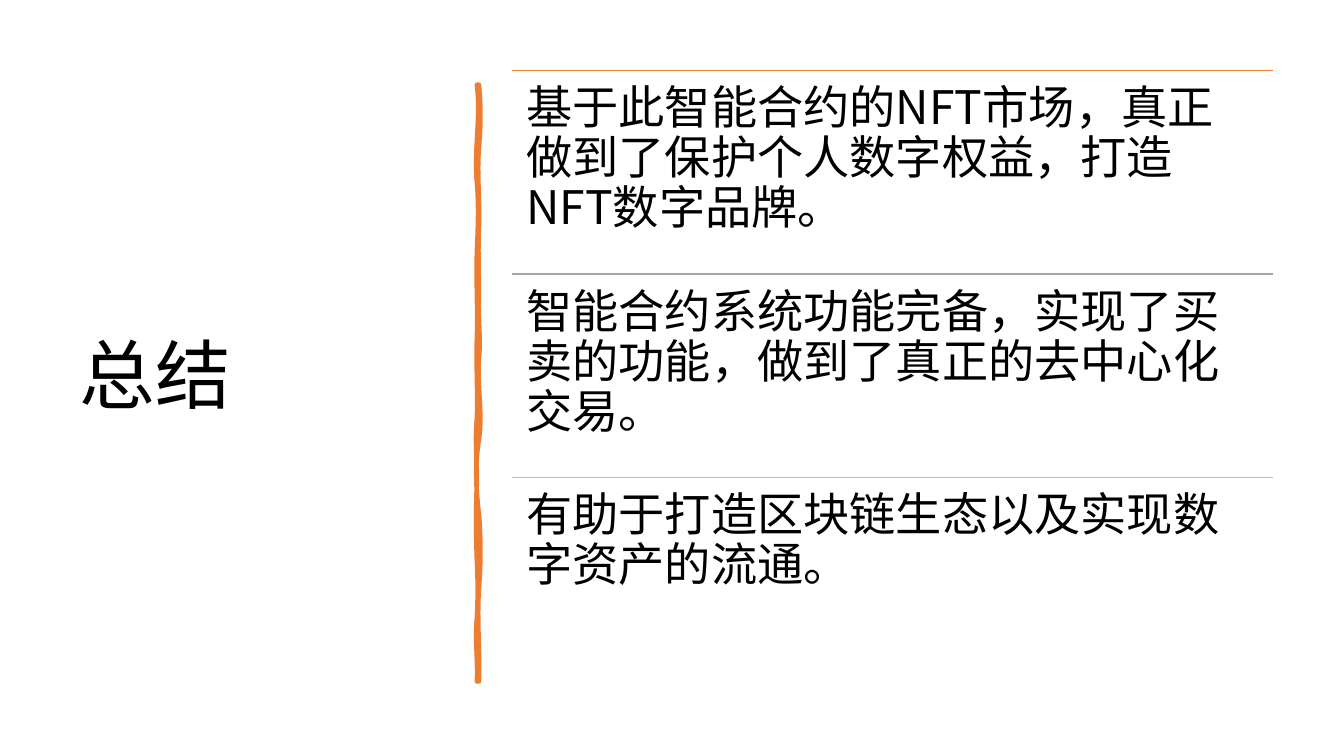
from lxml import etree
from pptx import Presentation
from pptx.dml.color import RGBColor
from pptx.enum.shapes import MSO_CONNECTOR
from pptx.enum.text import MSO_ANCHOR
from pptx.oxml.ns import qn
from pptx.util import Inches, Pt

STRAIGHT = MSO_CONNECTOR.STRAIGHT
TOP = MSO_ANCHOR.TOP
MIDDLE = MSO_ANCHOR.MIDDLE

BLACK = RGBColor(0x00, 0x00, 0x00)
ORANGE = RGBColor(0xED, 0x7D, 0x31)
GREY = RGBColor(0xA5, 0xA5, 0xA5)
GOLD = RGBColor(0xFF, 0xC0, 0x00)

FONT = "Noto Sans CJK SC"
SLIDE_WIDTH, SLIDE_HEIGHT = 13.33, 7.5
TITLE_BOX = (0.69, 0.7, 3.74, 6.11)
POINTS_LEFT, POINTS_TOP = 5.08, 0.7
POINT_WIDTH, POINT_HEIGHT = 7.55, 2.02
POINT_INSET = 0.14

CONCLUSIONS = [
    ("基于此智能合约的NFT市场，真正做到了保护个人数字权益，打造NFT数字品牌。", ORANGE),
    ("智能合约系统功能完备，实现了买卖的功能，做到了真正的去中心化交易。", GREY),
    ("有助于打造区块链生态以及实现数字资产的流通。", GOLD),
]

STROKE_TOP, STROKE_BOTTOM = 0.84, 6.76
RIGHT_X, LEFT_X = 4.75, 4.73
RIGHT_WAVES = [
    (1.46, 0.02, 0.02), (2.26, -0.02, 0.01), (2.94, -0.01, 0),
    (3.56, -0.01, 0.02), (4.36, -0.02, 0.04), (5.1, -0.04, -0.03),
    (5.84, 0.02, 0.02), (STROKE_BOTTOM, -0.02, 0.01),
]
LEFT_WAVES = [
    (6.13, 0.01, -0.02), (5.57, 0.01, 0.01), (4.77, -0.01, -0.01),
    (4.15, 0, -0.02), (3.35, 0.01, -0.01), (2.5, 0.01, -0.01),
    (1.81, 0.01, 0.02), (STROKE_TOP, -0.03, 0.04),
]


def add_words(shapes, words, box, size, anchor, inset_x, inset_y):
    textbox = shapes.add_textbox(*map(Inches, box))
    frame = textbox.text_frame
    frame_format = {
        "word_wrap": True,
        "vertical_anchor": anchor,
        "margin_left": Inches(inset_x),
        "margin_right": Inches(inset_x),
        "margin_top": Inches(inset_y),
        "margin_bottom": Inches(inset_y),
    }
    for name, value in frame_format.items():
        setattr(frame, name, value)
    paragraph = frame.paragraphs[0]
    paragraph.line_spacing = 0.9
    run = paragraph.add_run()
    run.text = words
    for name, value in {"name": FONT, "size": Pt(size)}.items():
        setattr(run.font, name, value)
    run.font.color.rgb = BLACK
    east_asian = etree.SubElement(run.font._element, qn("a:ea"))
    east_asian.set("typeface", FONT)


def add_rule(shapes, left, top, width, color):
    rule = shapes.add_connector(
        STRAIGHT, Inches(left), Inches(top), Inches(left + width), Inches(top))
    rule.line.color.rgb = color
    rule.line.width = Pt(1)
    etree.SubElement(rule._element.spPr, qn("a:effectLst"))


def wavy_edge(x, start_y, waves):
    curves = []
    for end_y, first_bend, second_bend in waves:
        third = (end_y - start_y) / 3
        curves.append([(x + first_bend, start_y + third),
                       (x + second_bend, end_y - third),
                       (x, end_y)])
        start_y = end_y
    return curves


def bend_sides(stroke, curves):
    straight_sides = list(stroke._element.iter(qn("a:lnTo")))
    for side, curve in zip(straight_sides, curves):
        bend = etree.Element(qn("a:cubicBezTo"))
        for x, y in curve:
            point = etree.SubElement(bend, qn("a:pt"))
            point.set("x", str(Inches(x) - stroke.left))
            point.set("y", str(Inches(y) - stroke.top))
        side.getparent().replace(side, bend)


def add_brush_stroke(shapes):
    bottom_end = [(RIGHT_X, STROKE_BOTTOM), (LEFT_X, STROKE_BOTTOM),
                  (LEFT_X, STROKE_BOTTOM)]
    curves = (wavy_edge(RIGHT_X, STROKE_TOP, RIGHT_WAVES) + [bottom_end]
              + wavy_edge(LEFT_X, STROKE_BOTTOM, LEFT_WAVES))
    builder = shapes.build_freeform(Inches(RIGHT_X), Inches(STROKE_TOP))
    corners = [(Inches(x), Inches(y)) for *_, (x, y) in curves]
    builder.add_line_segments(corners, close=True)
    stroke = builder.convert_to_shape()
    bend_sides(stroke, curves)
    stroke.shadow.inherit = False
    stroke.fill.solid()
    stroke.fill.fore_color.rgb = ORANGE
    stroke.line.color.rgb = ORANGE
    stroke.line.width = Pt(3.25)
    etree.SubElement(stroke.line._get_or_add_ln(), qn("a:round"))


def add_conclusions(shapes):
    conclusions = shapes.add_group_shape().shapes
    for row, (words, color) in enumerate(CONCLUSIONS):
        top = POINTS_TOP + row * POINT_HEIGHT
        add_rule(conclusions, POINTS_LEFT, top, POINT_WIDTH, color)
        add_words(conclusions, words, (POINTS_LEFT, top, POINT_WIDTH, POINT_HEIGHT),
                  33, TOP, POINT_INSET, POINT_INSET)


def main():
    deck = Presentation()
    deck.slide_width = Inches(SLIDE_WIDTH)
    deck.slide_height = Inches(SLIDE_HEIGHT)
    shapes = deck.slides.add_slide(deck.slide_layouts[6]).shapes
    add_words(shapes, "总结", TITLE_BOX, 54, MIDDLE, 0.1, 0.05)
    add_brush_stroke(shapes)
    add_conclusions(shapes)
    deck.save("out.pptx")


if __name__ == "__main__":
    main()
